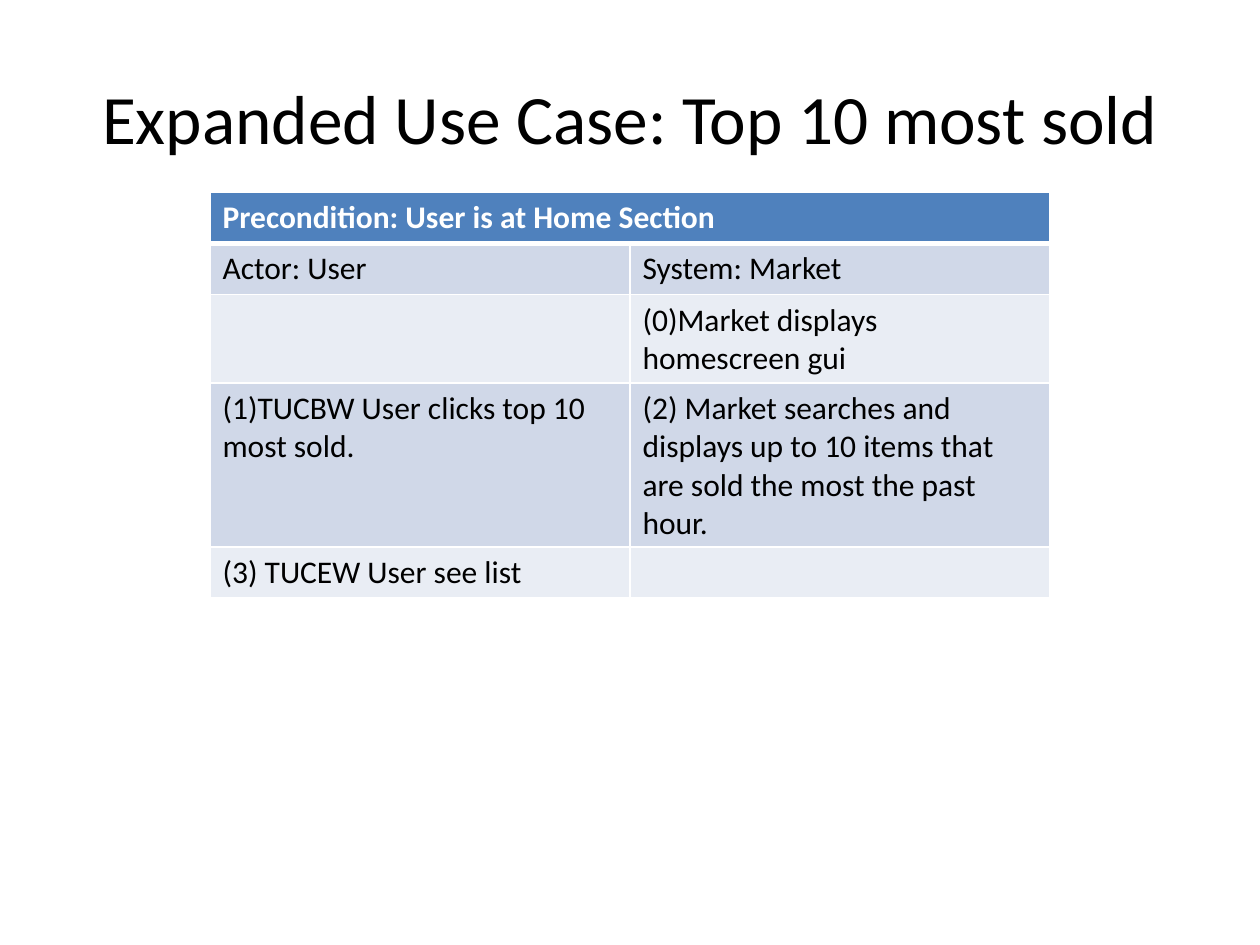
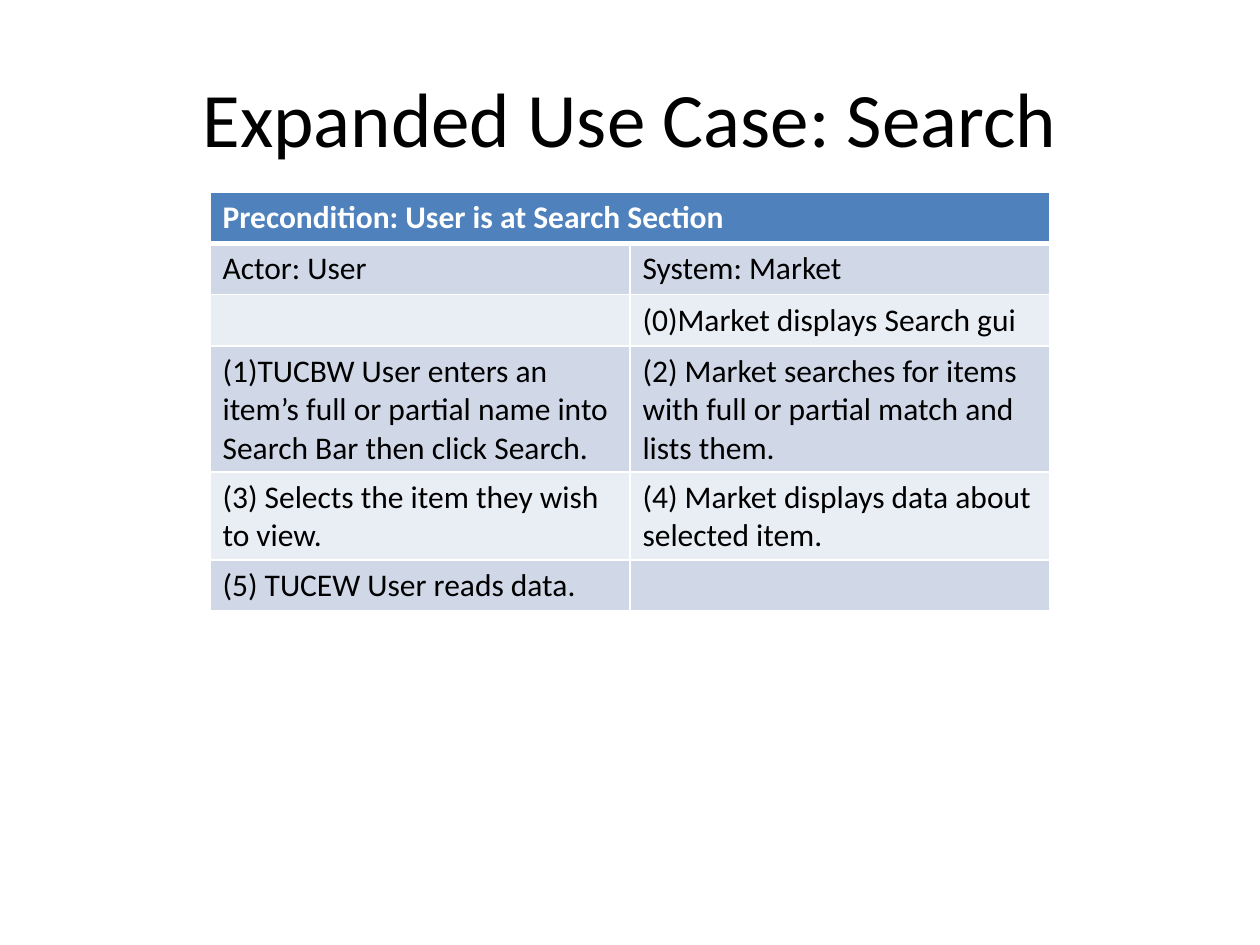
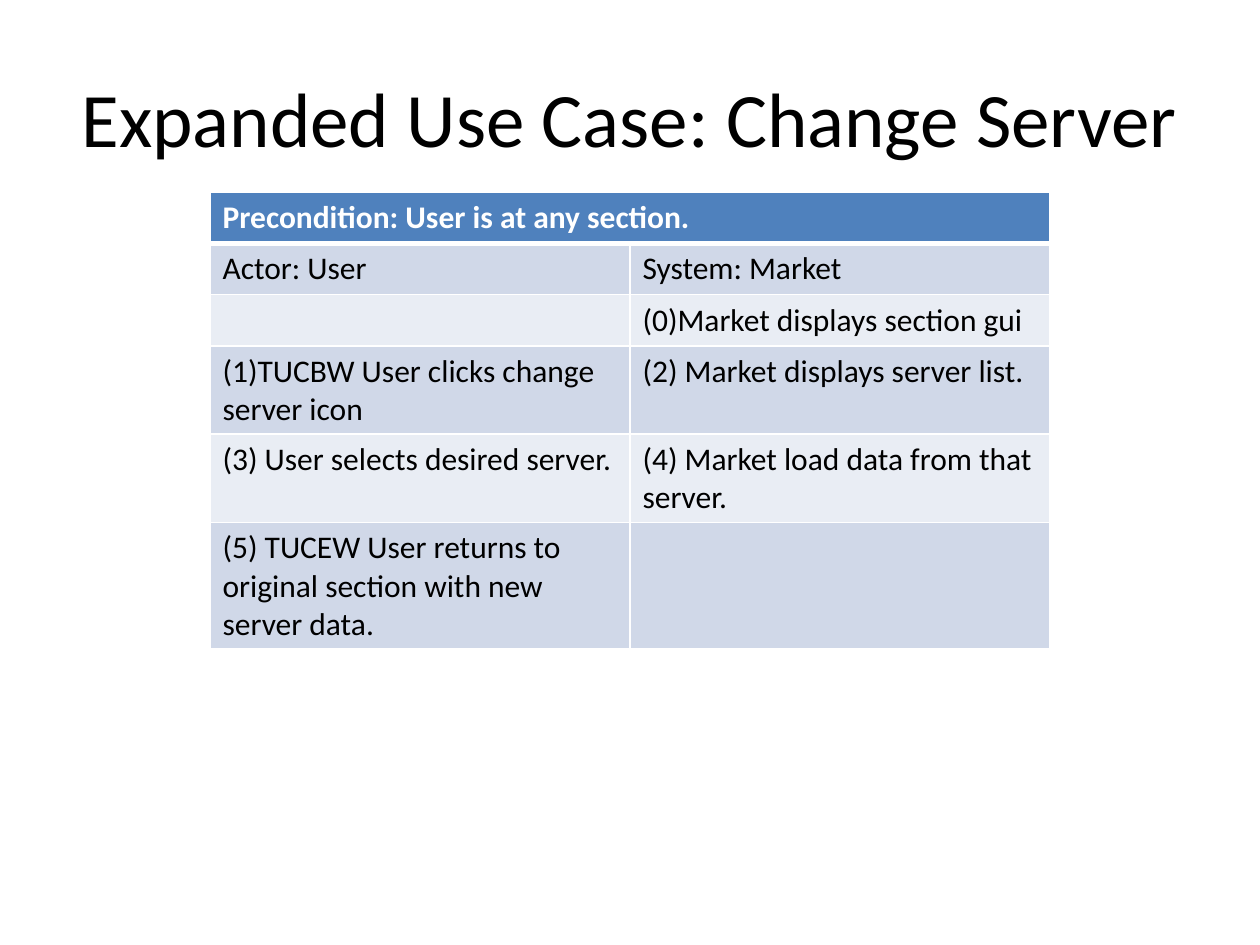
from pptx import Presentation
from pptx.dml.color import RGBColor
from pptx.enum.text import MSO_ANCHOR, PP_ALIGN
from pptx.oxml import parse_xml
from pptx.oxml.ns import nsdecls
from pptx.util import Pt

HUES = {"head": "4F81BD", "odd": "D0D8E8", "even": "E9EDF4",
        "line": "FFFFFF", "dark": "000000"}
FONT = "Calibri"
COL, ROW = 240, 29.2

# title, title size, precondition, (actor, system) steps
CASES = [
    ("Expanded Use Case: Top 10 most sold", 39.6, "User is at Home Section", [
        ("", "(0)Market displays homescreen gui"),
        ("(1)TUCBW User clicks top 10 most sold.",
         "(2) Market searches and displays up to 10 items that are sold "
         "the most the past hour."),
        ("(3) TUCEW User see list", ""),
    ]),
    ("Expanded Use Case: Search", 44, "User is at Search Section", [
        ("", "(0)Market displays Search gui"),
        ("(1)TUCBW User enters an item’s full or partial name into "
         "Search Bar then click Search.",
         "(2) Market searches for items with full or partial match and "
         "lists them."),
        ("(3) Selects the item they wish to view.",
         "(4) Market displays data about selected item."),
        ("(5) TUCEW User reads data.", ""),
    ]),
    ("Expanded Use Case: Change Server", 44, "User is at any section.", [
        ("", "(0)Market displays section gui"),
        ("(1)TUCBW User clicks change server icon",
         "(2) Market displays server list."),
        ("(3) User selects desired server.",
         "(4) Market load data from that server."),
        ("(5) TUCEW User returns to original section with new server data.",
         ""),
    ]),
]


def style(para, hue, **form):
    """Set the font of every run in a paragraph."""
    for run in para.runs:
        for name, value in {"name": FONT, **form}.items():
            setattr(run.font, name, value)
        run.font.color.rgb = RGBColor.from_string(HUES[hue])


def edge(cell, row):
    """Draw the white cell borders, heavy between header and body."""
    wide = {"L": 1, "R": 1, "T": 3 if row == 1 else 1, "B": 3 if row == 0 else 1}
    for side, width in wide.items():
        cell._tc.get_or_add_tcPr().append(parse_xml(
            f'<a:ln{side} {nsdecls("a")} w="{Pt(width)}"><a:solidFill>'
            f'<a:srgbClr val="{HUES["line"]}"/></a:solidFill></a:ln{side}>'))


deck = Presentation()
deck.slide_width, deck.slide_height = Pt(720), Pt(540)

for title, size, need, steps in CASES:
    slide = deck.slides.add_slide(deck.slide_layouts[6])

    frame = slide.shapes.add_textbox(Pt(36), Pt(21.6), Pt(648), Pt(90)).text_frame
    frame.word_wrap = True
    frame.vertical_anchor = MSO_ANCHOR.MIDDLE
    para = frame.paragraphs[0]
    para.text = title
    para.alignment = PP_ALIGN.CENTER
    style(para, "dark", size=Pt(size))

    rows = [(f"Precondition: {need}", ""), ("Actor: User", "System: Market"), *steps]
    table = slide.shapes.add_table(len(rows), 2, Pt(120), Pt(110),
                                   Pt(2 * COL), Pt(ROW * len(rows))).table
    for line in table.rows:
        line.height = Pt(ROW)
    for r, texts in enumerate(rows):
        band = "head" if r == 0 else "odd" if r % 2 else "even"
        for c, text in enumerate(texts):
            cell = table.cell(r, c)
            cell.text = text
            style(cell.text_frame.paragraphs[0], "dark" if r else "line",
                  size=Pt(18), bold=r == 0)
            edge(cell, r)
            cell.fill.solid()
            cell.fill.fore_color.rgb = RGBColor.from_string(HUES[band])
    table.cell(0, 0).merge(table.cell(0, 1))

deck.save("out.pptx")
